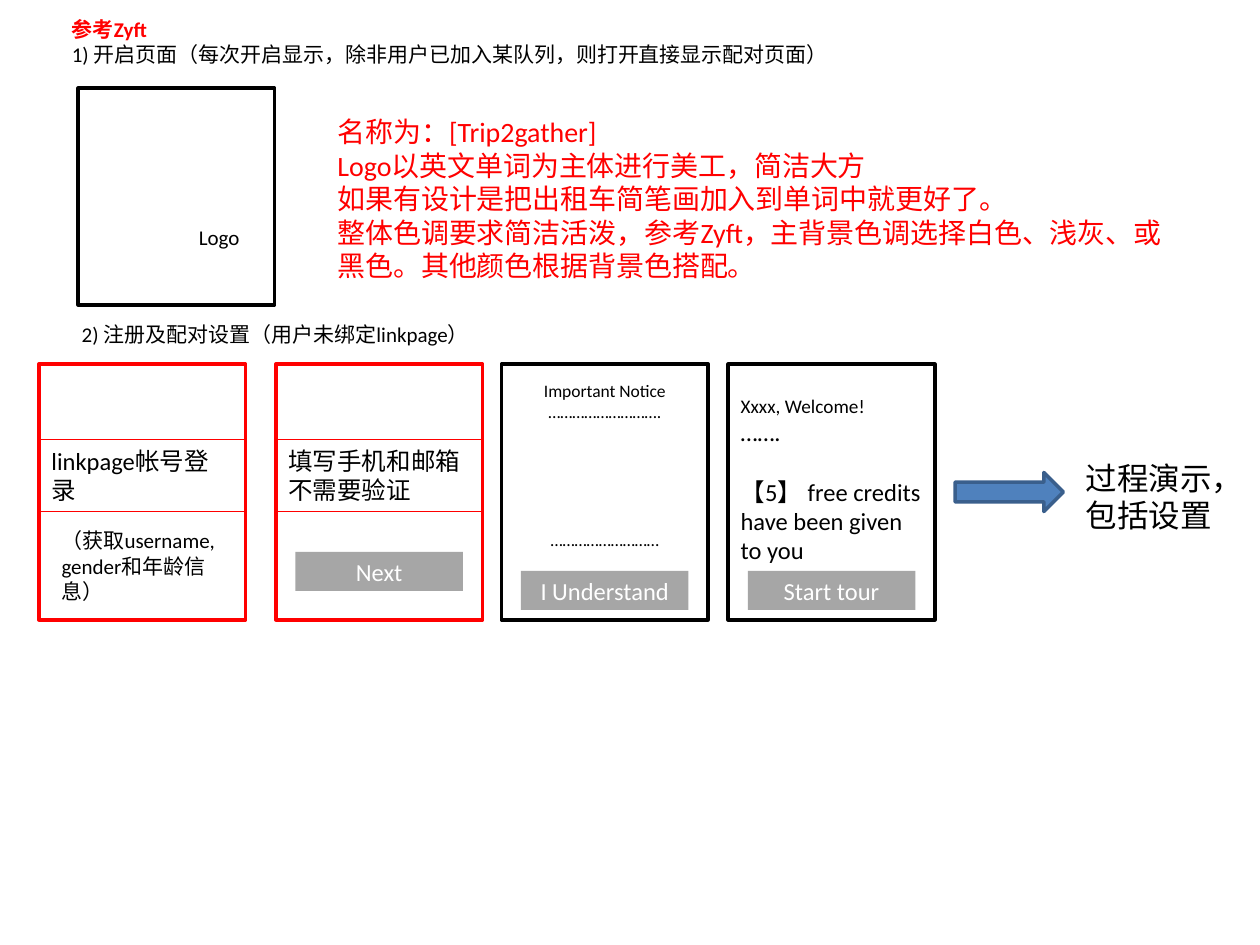
from dataclasses import dataclass

from pptx import Presentation
from pptx.dml.color import RGBColor
from pptx.enum.shapes import MSO_SHAPE
from pptx.enum.text import MSO_ANCHOR, MSO_AUTO_SIZE, PP_ALIGN
from pptx.util import Inches, Pt

WIDTH, HEIGHT = Inches(10), Inches(7.5)
COLUMN, ROW = WIDTH / 100, HEIGHT / 75


@dataclass(frozen=True)
class Theme:
    """Colours, type sizes and line widths of the slide."""
    font: str = "Calibri"
    ink: str = "000000"
    accent: str = "FF0000"
    button: str = "A6A6A6"
    paper: str = "FFFFFF"
    arrow: str = "4F81BD"
    arrow_edge: str = "3A5F8C"
    notice: int = 10
    small: int = 11
    body: int = 12
    label: int = 14
    brief: int = 16
    result: int = 18
    frame: float = 2
    rule: float = 0.75


@dataclass(frozen=True)
class Box:
    """An area in grid columns and rows."""
    left: float
    top: float
    width: float
    height: float

    def inner(self, dx, dy, width, height):
        """Return an area offset from this one's top left corner."""
        return Box(self.left + dx, self.top + dy, width, height)

    def emu(self):
        """Return left, top, width and height as slide lengths."""
        return (round(self.left * COLUMN), round(self.top * ROW),
                round(self.width * COLUMN), round(self.height * ROW))


@dataclass(frozen=True)
class Line:
    """One paragraph with its look."""
    text: str
    size: int
    color: str = "000000"
    bold: bool = False
    align: PP_ALIGN = PP_ALIGN.LEFT
    before: float = 0


THEME = Theme()


def write(shape, lines, anchor=MSO_ANCHOR.TOP, grow=True):
    """Fill a shape's text frame with formatted paragraphs."""
    frame = shape.text_frame
    frame.word_wrap = True
    frame.vertical_anchor = anchor
    frame.auto_size = MSO_AUTO_SIZE.SHAPE_TO_FIT_TEXT if grow else MSO_AUTO_SIZE.NONE
    for index, line in enumerate(lines):
        paragraph = frame.add_paragraph() if index else frame.paragraphs[0]
        paragraph.text = line.text
        paragraph.alignment = line.align
        if line.before:
            paragraph.space_before = Pt(line.before)
        paragraph.font.name = THEME.font
        paragraph.font.size = Pt(line.size)
        paragraph.font.bold = line.bold
        paragraph.font.color.rgb = RGBColor.from_string(line.color)


def add_text(slide, box, *lines):
    """Place a wrapping text box."""
    write(slide.shapes.add_textbox(*box.emu()), lines)


def add_figure(slide, box, fill=None, edge=None, weight=THEME.frame,
               preset=MSO_SHAPE.RECTANGLE):
    """Place a flat preset shape with optional fill and outline."""
    figure = slide.shapes.add_shape(preset, *box.emu())
    figure.shadow.inherit = False
    if fill:
        figure.fill.solid()
        figure.fill.fore_color.rgb = RGBColor.from_string(fill)
    else:
        figure.fill.background()
    if edge:
        figure.line.color.rgb = RGBColor.from_string(edge)
        figure.line.width = Pt(weight)
    else:
        figure.line.fill.background()
    return figure


def add_button(slide, screen, dy, caption):
    """Place a grey button centred across a screen."""
    width = 13.3
    area = screen.inner((screen.width - width) / 2, dy, width, 3.1)
    line = Line(caption, THEME.label, THEME.paper, align=PP_ALIGN.CENTER)
    write(add_figure(slide, area, THEME.button), [line], MSO_ANCHOR.MIDDLE, False)


def add_heading(slide, box):
    """Set the title and the caption of the opening page."""
    title = slide.shapes.title
    title.left, title.top, title.width, title.height = box.emu()
    write(title, [
        Line("参考Zyft", THEME.body, THEME.accent, True),
        Line("1) 开启页面（每次开启显示，除非用户已加入某队列，则打开直接显示配对页面）", THEME.body),
    ])


def add_opening_page(slide, box):
    """Draw the opening page with its logo label and the design brief."""
    add_figure(slide, box.inner(0, 0, 15.6, 17.2), edge=THEME.ink)
    add_text(slide, box.inner(8.6, 10.3, 6.3, 3), Line("Logo", THEME.body))
    brief = (
        "名称为：[Trip2gather]",
        "Logo以英文单词为主体进行美工，简洁大方",
        "如果有设计是把出租车简笔画加入到单词中就更好了。",
        "整体色调要求简洁活泼，参考Zyft，主背景色调选择白色、浅灰、或黑色。其他颜色根据背景色搭配。",
    )
    add_text(slide, box.inner(19.6, 1.6, 68.8, 14.5),
             *(Line(text, THEME.brief, THEME.accent) for text in brief))


def add_form_screen(slide, screen, *texts):
    """Draw a red screen with a text band across its middle."""
    add_figure(slide, screen, edge=THEME.accent)
    band = add_figure(slide, screen.inner(0, 6, screen.width, 5.7),
                      edge=THEME.accent, weight=THEME.rule)
    write(band, [Line(text, THEME.label) for text in texts])


def add_login_screen(slide, screen):
    """Draw the account login screen."""
    add_form_screen(slide, screen, "linkpage帐号登录")
    add_text(slide, screen.inner(0.8, 12.5, 14.8, 7.1),
             Line("（获取username, gender和年龄信息）", THEME.body))


def add_contact_screen(slide, screen):
    """Draw the phone and mail screen."""
    add_form_screen(slide, screen, "填写手机和邮箱", "不需要验证")
    add_button(slide, screen, 14.9, "Next")


def add_notice_screen(slide, screen):
    """Draw the important notice screen."""
    add_figure(slide, screen, edge=THEME.ink)
    rows = (("Important Notice", 0), ("……………………….", 0), ("………………………", 61))
    add_text(slide, screen.inner(0, 0.8, screen.width, 14.5),
             *(Line(text, THEME.notice, align=PP_ALIGN.CENTER, before=gap)
               for text, gap in rows))
    add_button(slide, screen, 16.4, "I Understand")


def add_welcome_screen(slide, screen):
    """Draw the welcome screen with the free credits."""
    add_figure(slide, screen, edge=THEME.ink)
    add_text(slide, screen.inner(0, 1.9, screen.width, 14.5),
             Line("Xxxx, Welcome!", THEME.small),
             Line("…….", THEME.label),
             Line("【5】 free credits have been given to you", THEME.label, before=17))
    add_button(slide, screen, 16.4, "Start tour")


def add_tour(slide, box):
    """Point from the screens to the guided tour."""
    add_figure(slide, box.inner(0, 1.6, 8.6, 3.1), THEME.arrow, THEME.arrow_edge,
               preset=MSO_SHAPE.RIGHT_ARROW)
    add_text(slide, box.inner(9.4, 0, 12.5, 7.1), Line("过程演示，包括设置", THEME.result))


def main():
    """Build and save the slide."""
    deck = Presentation()
    deck.slide_width, deck.slide_height = WIDTH, HEIGHT
    slide = deck.slides.add_slide(deck.slide_layouts.get_by_name("Title Only"))
    add_heading(slide, Box(4.7, 0.8, 91.4, 5))
    add_opening_page(slide, Box(6.2, 7, 88.4, 17.2))
    add_text(slide, Box(5.5, 25, 91.4, 3),
             Line("2) 注册及配对设置（用户未绑定linkpage）", THEME.body))
    screens = ((3.1, add_login_screen), (21.9, add_contact_screen),
               (39.8, add_notice_screen), (57.8, add_welcome_screen))
    for left, add_screen in screens:
        add_screen(slide, Box(left, 28.9, 16.4, 20.3))
    add_tour(slide, Box(75.8, 35.9, 21.9, 7.1))
    deck.save("out.pptx")


if __name__ == "__main__":
    main()
